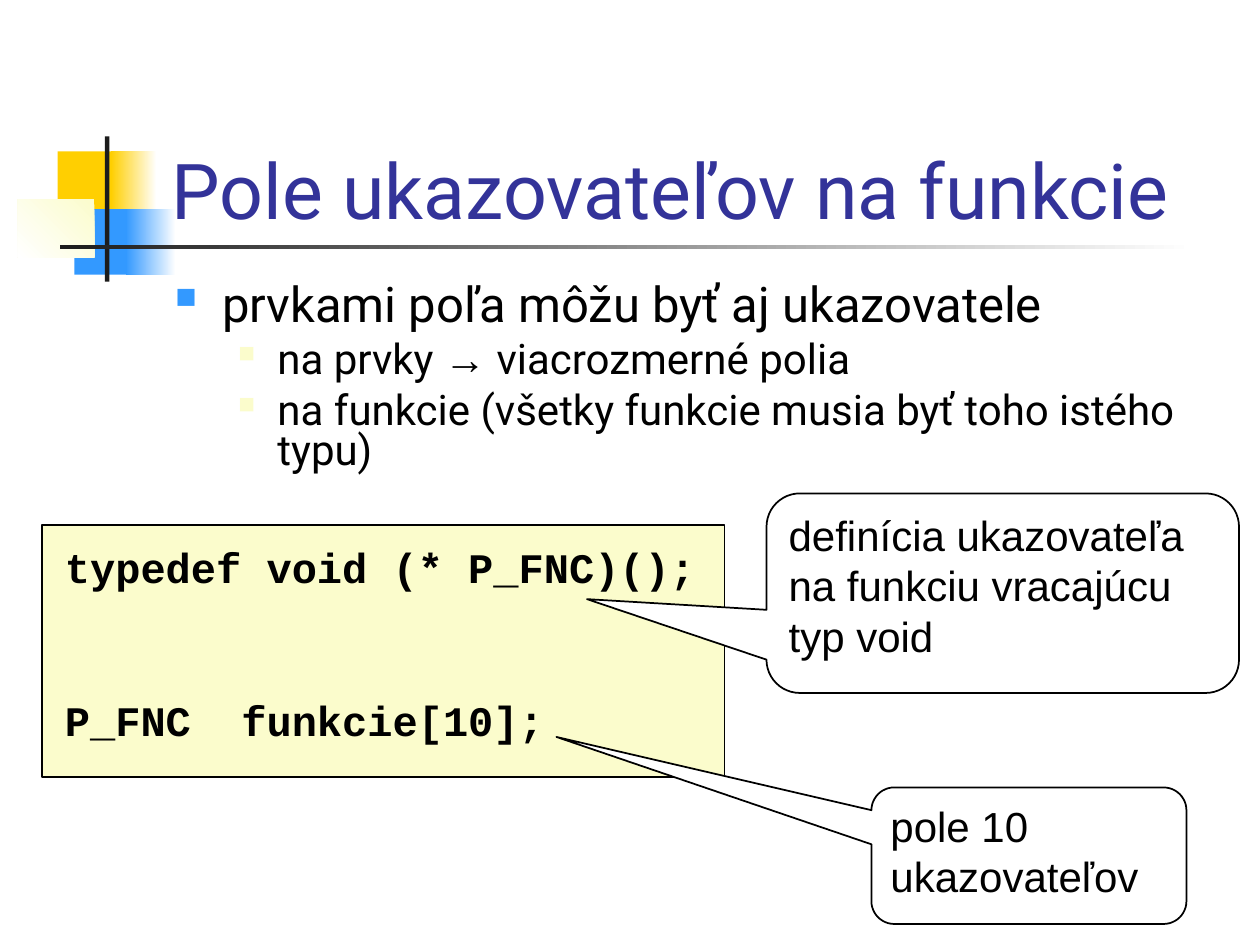
from lxml.etree import SubElement
from pptx import Presentation
from pptx.dml.color import RGBColor
from pptx.enum.shapes import MSO_SHAPE as Shape
from pptx.enum.text import MSO_ANCHOR as Anchor, PP_ALIGN as Align
from pptx.oxml.ns import qn
from pptx.util import Pt

COLORS = {
    "white": "FFFFFF", "black": "000000", "ink": "1C1C1C", "yellow": "FFCF01",
    "blue": "3399FF", "cream": "FBFCCC", "title": "333399",
}


def color(name):
    return RGBColor.from_string(COLORS[name])


def place(shape, box):
    shape.left, shape.top, shape.width, shape.height = (Pt(value) for value in box)


def add_run(paragraph, text, font, size, tint="black", bold=False):
    run = paragraph.add_run()
    run.text = text
    run.font.name = font
    run.font.size = Pt(size)
    run.font.bold = bold
    run.font.color.rgb = color(tint)


def add_block(slide, kind, box, fill, line_width=0):
    shape = slide.shapes.add_shape(kind, *(Pt(value) for value in box))
    shape.shadow.inherit = False
    shape.fill.solid()
    shape.fill.fore_color.rgb = color(fill)
    if line_width:
        shape.line.color.rgb = color("black")
        shape.line.width = Pt(line_width)
    else:
        shape.line.fill.background()
    return shape


def add_fade(slide, box, start, end, angle=180):
    shape = add_block(slide, Shape.RECTANGLE, box, start)
    shape.fill.gradient()
    shape.fill.gradient_angle = angle
    for stop, name, position in zip(shape.fill.gradient_stops, (start, end), (0, 1)):
        stop.color.rgb = color(name)
        stop.position = position


def add_text_box(slide, box):
    frame = slide.shapes.add_textbox(*(Pt(value) for value in box)).text_frame
    frame.word_wrap = True
    return frame


def add_ornament(slide):
    add_block(slide, Shape.RECTANGLE, (33, 86.5, 34.5, 37.5), "yellow")
    add_fade(slide, (63.5, 86.5, 26, 37.5), "white", "yellow")
    add_block(slide, Shape.RECTANGLE, (42.5, 119.5, 33, 37.5), "blue")
    add_fade(slide, (72, 119.5, 28.5, 37.5), "white", "blue")
    add_fade(slide, (10, 114, 44, 33), "cream", "white", 225)
    add_block(slide, Shape.RECTANGLE, (60, 78, 2.5, 83), "ink")
    add_fade(slide, (34.5, 140, 648, 2.5), "white", "ink")


def add_title(slide, text):
    title = slide.shapes.title
    title.element.getparent().append(title.element)
    place(title, (91, 48, 613.5, 90))
    frame = title.text_frame
    frame.word_wrap = True
    frame.vertical_anchor = Anchor.BOTTOM
    paragraph = frame.paragraphs[0]
    paragraph.alignment = Align.LEFT
    add_run(paragraph, text, "Roboto", 44, "title")


def add_bullet(paragraph, indent, hanging, tint, percent):
    properties = paragraph._p.get_or_add_pPr()
    properties.set("marL", str(Pt(indent)))
    properties.set("indent", str(-Pt(hanging)))
    bullet_color = SubElement(properties, qn("a:buClr"))
    SubElement(bullet_color, qn("a:srgbClr"), val=COLORS[tint])
    SubElement(properties, qn("a:buSzPct"), val=str(percent * 1000))
    SubElement(properties, qn("a:buChar"), char="■")


def add_outline(slide, box, items):
    frame = add_text_box(slide, box)
    for index, (level, runs) in enumerate(items):
        paragraph = frame.add_paragraph() if index else frame.paragraphs[0]
        paragraph.level = level
        paragraph.line_spacing = 0.8
        if index:
            paragraph.space_before = Pt(6)
        if level:
            add_bullet(paragraph, 58.5, 22.5, "cream", 55)
        else:
            add_bullet(paragraph, 27, 27, "blue", 60)
        for text, font in runs:
            add_run(paragraph, text, font, 24 if level else 28)


def add_code(slide, box, lines, gap):
    frame = add_text_box(slide, box)
    for index, line in enumerate(lines):
        paragraph = frame.add_paragraph() if index else frame.paragraphs[0]
        if index:
            paragraph.space_before = Pt(gap)
        add_run(paragraph, line, "Courier New", 24, bold=True)


def add_callout(slide, box, tip, lines):
    shape = add_block(slide, Shape.ROUNDED_RECTANGULAR_CALLOUT, box, "white", 1)
    for index, value in enumerate((*tip, 0.167)):
        shape.adjustments[index] = value
    frame = shape.text_frame
    frame.word_wrap = True
    frame.vertical_anchor = Anchor.TOP
    for index, line in enumerate(lines):
        paragraph = frame.add_paragraph() if index else frame.paragraphs[0]
        paragraph.alignment = Align.LEFT
        add_run(paragraph, line, "Arial", 24)


def main():
    presentation = Presentation()
    presentation.slide_width, presentation.slide_height = Pt(720), Pt(540)
    slide = presentation.slides.add_slide(presentation.slide_layouts[5])

    add_ornament(slide)
    add_title(slide, "Pole ukazovateľov na funkcie")
    add_outline(slide, (93, 159, 612, 119.5), [
        (0, [("prvkami poľa môžu byť aj ukazovatele", "Roboto")]),
        (1, [("na prvky ", "Roboto"), ("→", "Arial"), (" viacrozmerné polia", "Roboto")]),
        (1, [("na funkcie (všetky funkcie musia byť toho istého typu)", "Roboto")]),
    ])
    add_block(slide, Shape.RECTANGLE, (24, 300, 390, 144), "cream", 0.75)
    add_code(slide, (30, 306, 384, 122.5),
             ["typedef void (* P_FNC)();", "P_FNC  funkcie[10];"], 58.5)
    add_callout(slide, (438, 282, 270, 114), (-0.88, 0.03),
                ["definícia ukazovateľa", "na funkciu vracajúcu", "typ void"])
    add_callout(slide, (498, 450, 180, 78), (-1.5, -0.87), ["pole 10 ukazovateľov"])

    presentation.save("out.pptx")


if __name__ == "__main__":
    main()
